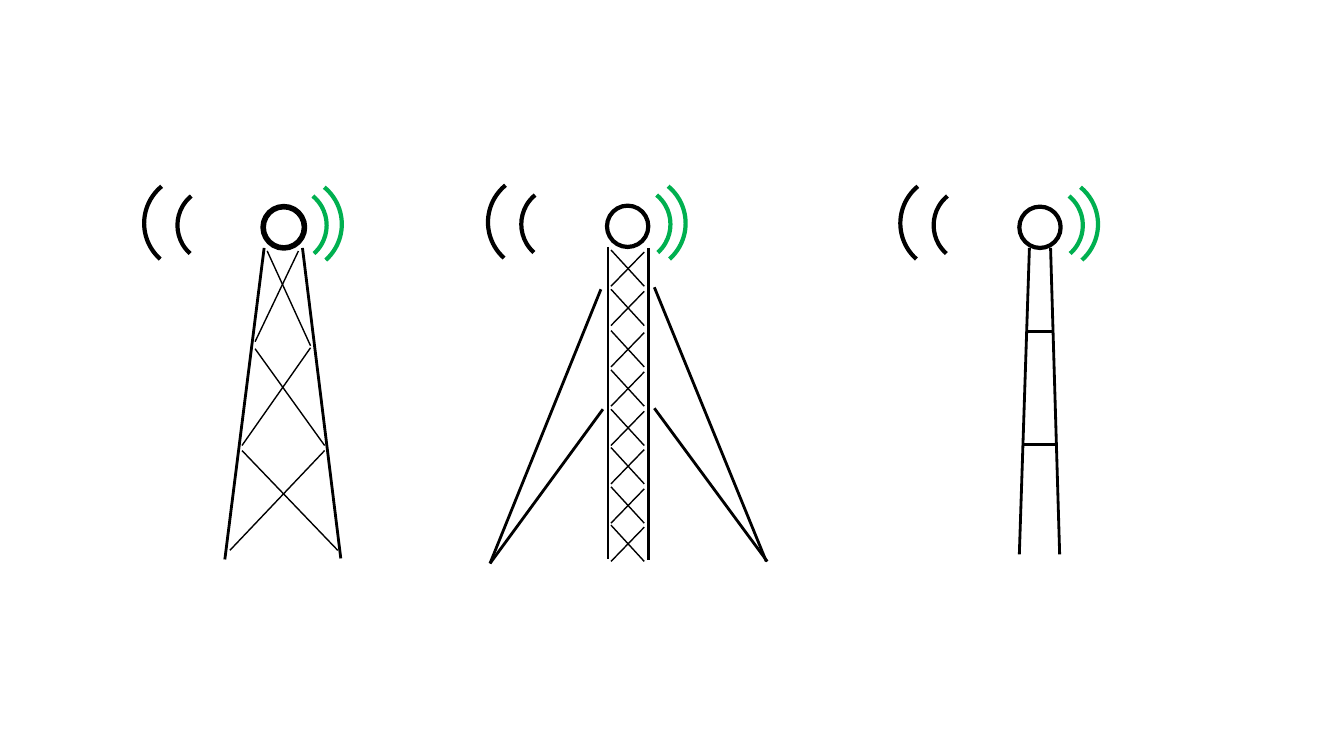
from dataclasses import dataclass

from lxml.etree import SubElement
from pptx import Presentation
from pptx.dml.color import RGBColor
from pptx.enum.shapes import MSO_CONNECTOR, MSO_SHAPE
from pptx.oxml.ns import qn
from pptx.util import Inches, Pt


@dataclass(frozen=True)
class Theme:
    black: RGBColor = RGBColor(0, 0, 0)
    green: RGBColor = RGBColor(0x00, 0xB0, 0x50)
    brace: float = 1
    frame: float = 2
    wave: float = 3


@dataclass(frozen=True)
class Wave:
    dx: float  # offsets from the antenna's top left corner
    dy: float
    size: float
    color: RGBColor
    angles: tuple[float, float]


@dataclass(frozen=True)
class Antenna:
    x: float
    y: float
    weight: float


@dataclass(frozen=True)
class Line:
    x1: float
    y1: float
    x2: float
    y2: float
    weight: float = Theme.frame


THEME = Theme()
ANTENNA_SIZE = 0.41
RIGHT = (185.63, 29.01)
LEFT = (108 - RIGHT[1], 324 - RIGHT[0])  # mirror of RIGHT
WAVES = (
    Wave(-0.12, -0.19, 0.75, THEME.green, RIGHT),
    Wave(-0.17, -0.30, 0.95, THEME.green, RIGHT),
    Wave(-0.85, -0.19, 0.75, THEME.black, LEFT),
    Wave(-1.18, -0.31, 0.95, THEME.black, LEFT),
)
ANTENNAS = (Antenna(2.61, 2.05, 4), Antenna(6.02, 2.04, 3), Antenna(10.11, 2.05, 3))

LATTICE_LEGS = (Line(2.62, 2.46, 2.23, 5.55), Line(3, 2.46, 3.38, 5.54))
# Each brace pair: a rising and a falling diagonal
LATTICE_BRACES = (
    Line(2.53, 3.39, 2.96, 2.49, THEME.brace), Line(2.65, 2.49, 3.08, 3.43, THEME.brace),
    Line(2.4, 4.42, 3.08, 3.45, THEME.brace), Line(2.53, 3.46, 3.22, 4.42, THEME.brace),
    Line(2.28, 5.46, 3.22, 4.47, THEME.brace), Line(2.4, 4.47, 3.35, 5.46, THEME.brace),
)
MAST_LEGS = (Line(6.03, 2.45, 6.03, 5.55), Line(6.43, 2.46, 6.43, 5.56))
MAST_BRACE_TOPS = (2.48, 2.87, 3.28, 3.67, 4.06, 4.44, 4.83, 5.21)
GUY_WIRES = (
    Line(5.96, 2.87, 4.86, 5.59), Line(5.98, 4.06, 4.86, 5.59),
    Line(6.49, 2.85, 7.6, 5.57), Line(6.49, 4.05, 7.61, 5.57),
)
POLE = (
    Line(10.21, 2.46, 10.11, 5.5), Line(10.42, 2.46, 10.51, 5.5),
    Line(10.19, 3.29, 10.45, 3.29), Line(10.15, 4.41, 10.49, 4.41),
)


def draw_line(s, line: Line) -> None:
    ends = (Inches(v) for v in (line.x1, line.y1, line.x2, line.y2))
    c = s.shapes.add_connector(MSO_CONNECTOR.STRAIGHT, *ends)
    c.line.color.rgb = THEME.black
    c.line.width = Pt(line.weight)
    SubElement(c._element.spPr, qn("a:effectLst"))


def draw_outline(s, kind: MSO_SHAPE, x: float, y: float, size: float,
                 color: RGBColor, weight: float):
    sp = s.shapes.add_shape(kind, Inches(x), Inches(y), Inches(size), Inches(size))
    sp.shadow.inherit = False
    sp.fill.background()
    sp.line.color.rgb = color
    sp.line.width = Pt(weight)
    return sp


def draw_antenna(s, antenna: Antenna) -> None:
    draw_outline(s, MSO_SHAPE.OVAL, antenna.x, antenna.y, ANTENNA_SIZE,
                 THEME.black, antenna.weight)
    for wave in WAVES:
        arc = draw_outline(s, MSO_SHAPE.ARC, antenna.x + wave.dx, antenna.y + wave.dy,
                           wave.size, wave.color, THEME.wave)
        arc.adjustments[0], arc.adjustments[1] = wave.angles


prs = Presentation()
prs.slide_width, prs.slide_height = Inches(13.33), Inches(7.5)
s = prs.slides.add_slide(prs.slide_layouts[6])

# Lattice tower, guyed mast and pole
for line in LATTICE_LEGS + LATTICE_BRACES + MAST_LEGS + GUY_WIRES + POLE:
    draw_line(s, line)

# Cross braces of the mast
for top in MAST_BRACE_TOPS:
    draw_line(s, Line(6.06, top + 0.36, 6.39, top + 0.02, THEME.brace))
    draw_line(s, Line(6.06, top, 6.39, top + 0.36, THEME.brace))

# Antennas with their radio waves
for antenna in ANTENNAS:
    draw_antenna(s, antenna)

prs.save("out.pptx")
